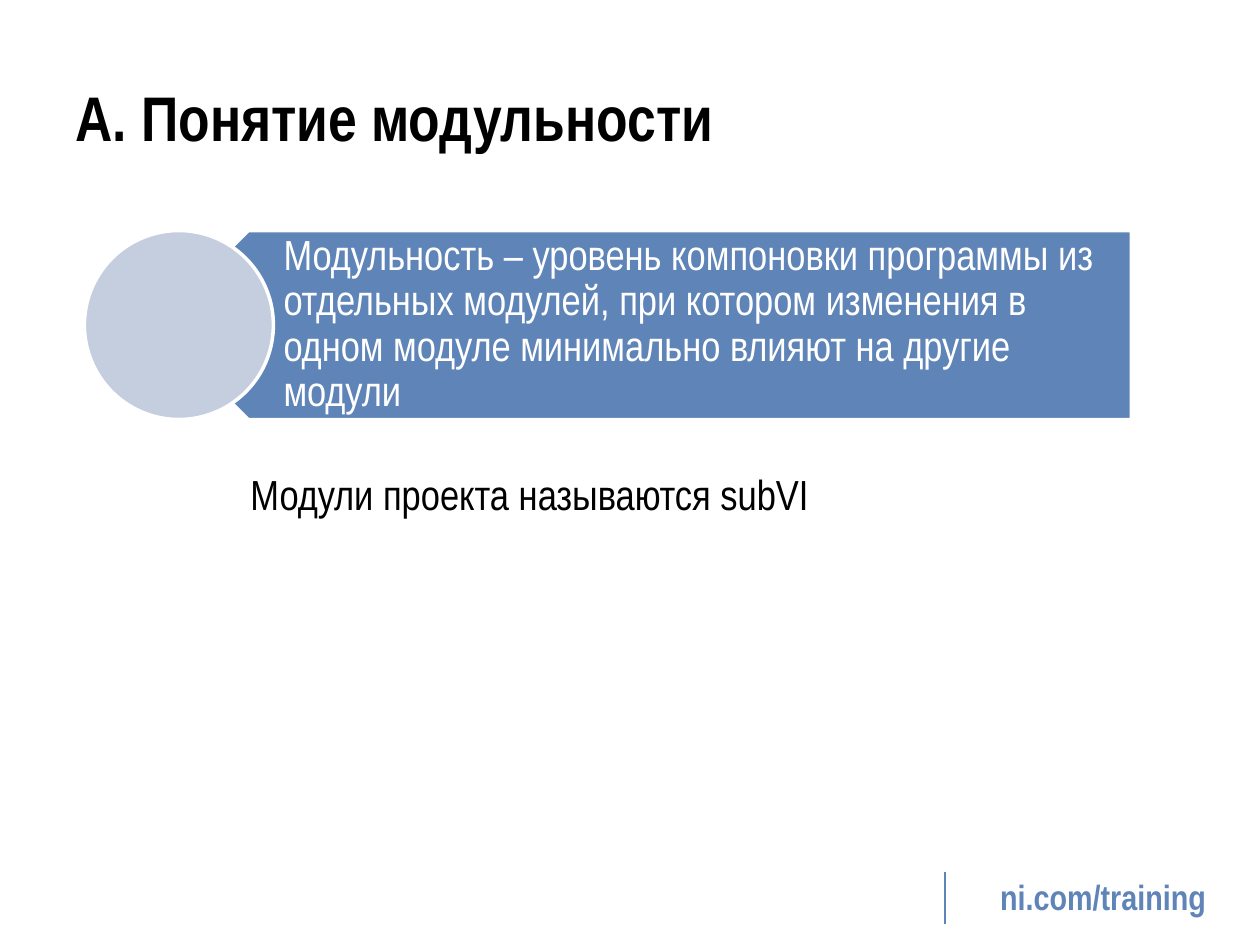
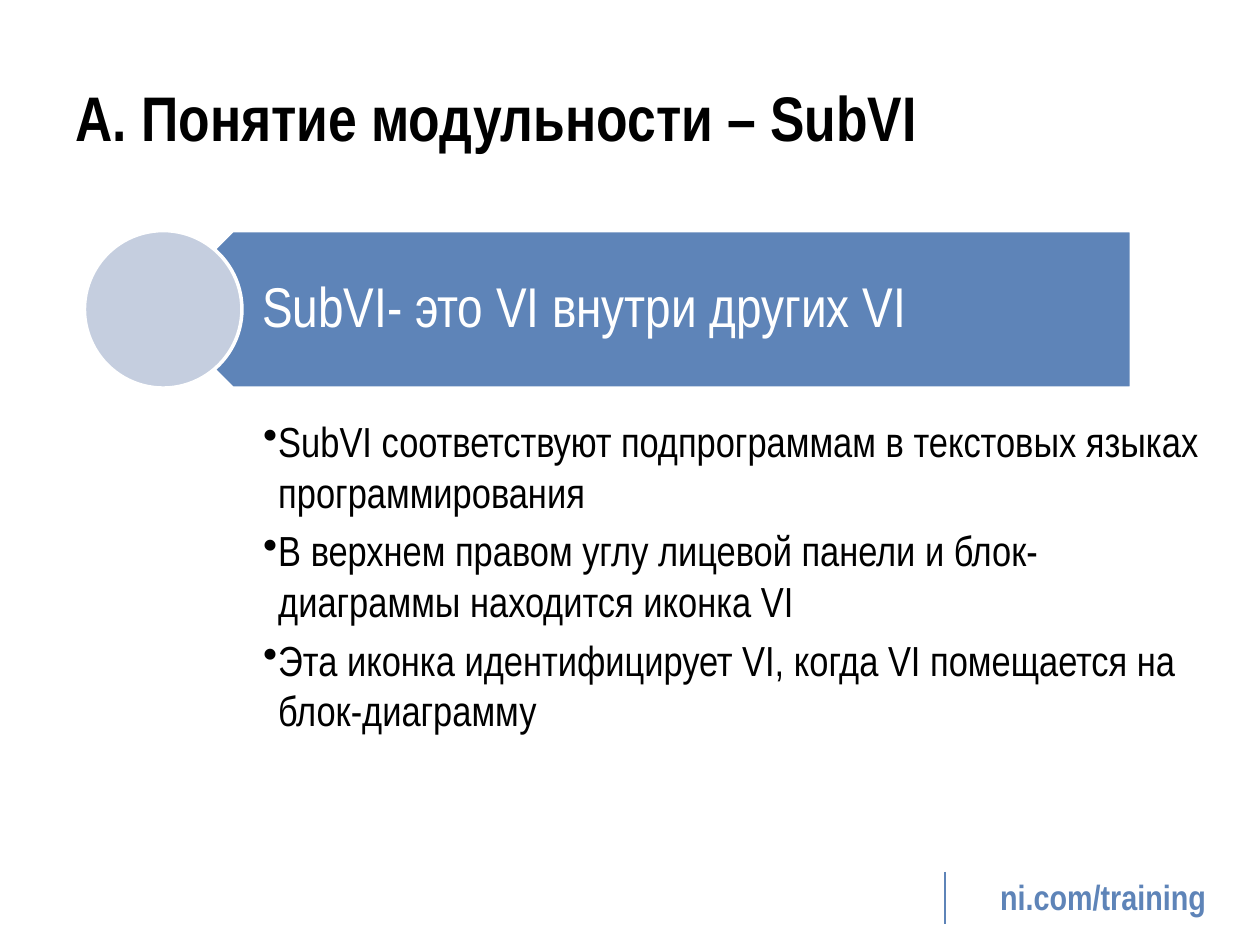
from dataclasses import dataclass
from typing import Optional

from lxml.etree import SubElement
from pptx import Presentation
from pptx.dml.color import RGBColor
from pptx.enum.shapes import MSO_CONNECTOR, MSO_SHAPE as Preset
from pptx.enum.text import MSO_ANCHOR as Anchor, PP_ALIGN as Align
from pptx.oxml.ns import qn
from pptx.util import Inches, Pt

# Shared look
FONT = "Arial Narrow"
BLACK = RGBColor(0x00, 0x00, 0x00)
WHITE = RGBColor(0xFF, 0xFF, 0xFF)
BLUE = RGBColor(0x5E, 0x84, 0xB8)
PALE_BLUE = RGBColor(0xC5, 0xCE, 0xDF)
BANNER_TOP = 1.83
BANNER_RIGHT = 8.98
CIRCLE_LEFT = 0.67
ARROW_LEFT = 1.22


@dataclass(frozen=True)
class Box:
    left: float
    top: float
    width: float
    height: float

    def lengths(self) -> tuple:
        return tuple(Inches(v) for v in (self.left, self.top, self.width, self.height))


@dataclass(frozen=True)
class TextStyle:
    size: int
    color: RGBColor = BLACK
    bold: bool = False
    align: Align = Align.LEFT
    anchor: Anchor = Anchor.TOP
    line_spacing: Optional[float] = None
    space_before: float = 0
    indent: float = 0
    hanging: float = 0
    bullet: str = ""
    insets: tuple = (0.1, 0.05, 0.1, 0.05)  # left, top, right, bottom


@dataclass(frozen=True)
class Banner:
    text: str
    height: float
    text_left: float
    style: TextStyle


@dataclass(frozen=True)
class Lesson:
    title: str
    banner: Banner
    body: tuple
    body_box: Box
    body_style: TextStyle


TITLE_STYLE = TextStyle(36, bold=True, anchor=Anchor.MIDDLE)
FOOTER_STYLE = TextStyle(20, BLUE, bold=True, align=Align.CENTER)

LESSONS = (
    Lesson(
        "A. Понятие модульности",
        Banner(
            "Модульность – уровень компоновки программы из отдельных модулей, "
            "при котором изменения в одном модуле минимально влияют на другие модули",
            1.5, 1.59,
            TextStyle(24, WHITE, anchor=Anchor.MIDDLE, line_spacing=0.9,
                      insets=(0.66, 0.1, 0.19, 0.1)),
        ),
        ("Модули проекта называются subVI",),
        Box(0.58, 3.67, 9, 3),
        TextStyle(24, indent=1.31),
    ),
    Lesson(
        "A. Понятие модульности – SubVI",
        Banner(
            "SubVI- это VI внутри других VI",
            1.25, 1.53,
            TextStyle(32, WHITE, anchor=Anchor.MIDDLE, line_spacing=0.9,
                      insets=(0.55, 0.13, 0.25, 0.13)),
        ),
        (
            "SubVI соответствуют подпрограммам в текстовых языках программирования",
            "В верхнем правом углу лицевой панели и блок-диаграммы находится иконка VI",
            "Эта иконка идентифицирует VI, когда VI помещается на блок-диаграмму",
        ),
        Box(0.67, 3.25, 9, 2.92),
        TextStyle(24, space_before=4.8, indent=1.44, hanging=0.12, bullet="•"),
    ),
)


def add_text(slide, box: Box, paragraphs: tuple, style: TextStyle) -> None:
    frame = slide.shapes.add_textbox(*box.lengths()).text_frame
    frame.word_wrap = True
    frame.vertical_anchor = style.anchor
    (frame.margin_left, frame.margin_top,
     frame.margin_right, frame.margin_bottom) = (Inches(v) for v in style.insets)
    for index, text in enumerate(paragraphs):
        paragraph = frame.add_paragraph() if index else frame.paragraphs[0]
        properties = paragraph._p.get_or_add_pPr()
        properties.set("marL", str(Inches(style.indent)))
        properties.set("indent", str(-Inches(style.hanging)))
        if style.bullet:
            SubElement(properties, qn("a:buChar")).set("char", style.bullet)
        paragraph.alignment = style.align
        if style.line_spacing:
            paragraph.line_spacing = style.line_spacing
        if index:
            paragraph.space_before = Pt(style.space_before)
        run = paragraph.add_run()
        run.text = text
        run.font.name = FONT
        run.font.size = Pt(style.size)
        run.font.bold = style.bold
        run.font.color.rgb = style.color


def add_outlined(slide, preset: Preset, box: Box, fill: RGBColor, rotation: float = 0) -> None:
    shape = slide.shapes.add_shape(preset, *box.lengths())
    shape.shadow.inherit = False
    shape.rotation = rotation
    shape.fill.solid()
    shape.fill.fore_color.rgb = fill
    shape.line.color.rgb = WHITE
    shape.line.width = Pt(2)


def add_banner(slide, banner: Banner) -> None:
    def span(left: float) -> Box:
        return Box(left, BANNER_TOP, BANNER_RIGHT - left, banner.height)

    add_outlined(slide, Preset.PENTAGON, span(ARROW_LEFT), BLUE, rotation=180)
    add_text(slide, span(banner.text_left), (banner.text,), banner.style)
    circle = Box(CIRCLE_LEFT, BANNER_TOP, banner.height, banner.height)
    add_outlined(slide, Preset.OVAL, circle, PALE_BLUE)


def add_footer(slide) -> None:
    add_text(slide, Box(7.67, 6.9, 2.17, 0.44), ("ni.com/training",), FOOTER_STYLE)
    divider = slide.shapes.add_connector(
        MSO_CONNECTOR.STRAIGHT, Inches(7.5), Inches(6.92), Inches(7.5), Inches(7.33))
    divider.line.color.rgb = BLUE
    divider.line.width = Pt(1.5)
    SubElement(divider._element.spPr, qn("a:effectLst"))


def add_lesson(deck, lesson: Lesson) -> None:
    slide = deck.slides.add_slide(deck.slide_layouts[6])
    add_footer(slide)
    add_text(slide, Box(0.5, 0.3, 9, 1.25), (lesson.title,), TITLE_STYLE)
    add_text(slide, lesson.body_box, lesson.body, lesson.body_style)
    add_banner(slide, lesson.banner)


def main() -> None:
    deck = Presentation()
    deck.slide_width = Inches(10)
    deck.slide_height = Inches(7.5)
    for lesson in LESSONS:
        add_lesson(deck, lesson)
    deck.save("out.pptx")


if __name__ == "__main__":
    main()
